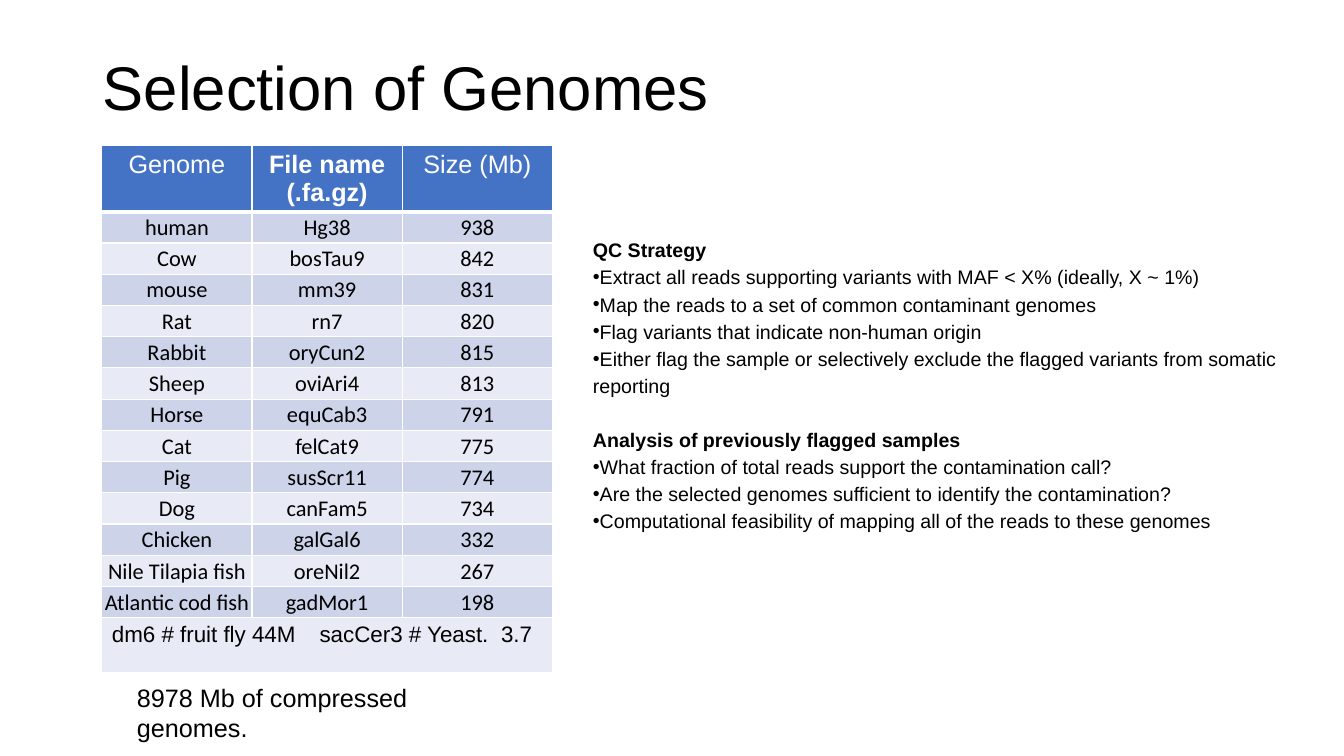
import dataclasses
import typing

import lxml.etree
import pptx
import pptx.dml.color
import pptx.enum.text
import pptx.oxml.ns
import pptx.util

Inches = pptx.util.Inches
Align = pptx.enum.text.PP_ALIGN
Anchor = pptx.enum.text.MSO_ANCHOR
Fit = pptx.enum.text.MSO_AUTO_SIZE
qn = pptx.oxml.ns.qn

COLORS = {"ink": "000000", "white": "FFFFFF", "head": "4472C4",
          "dark": "CDD4EA", "light": "E8EBF5"}


@dataclasses.dataclass
class Genome:
    name: str
    file: str
    size: str


@dataclasses.dataclass
class Topic:
    head: str
    points: list[str]


@dataclasses.dataclass
class Style:
    size: float
    font: str = "Arial"
    color: str = "ink"
    bold: bool = False


GENOMES = [
    Genome("human", "Hg38", "938"),
    Genome("Cow", "bosTau9", "842"),
    Genome("mouse", "mm39", "831"),
    Genome("Rat", "rn7", "820"),
    Genome("Rabbit", "oryCun2", "815"),
    Genome("Sheep", "oviAri4", "813"),
    Genome("Horse", "equCab3", "791"),
    Genome("Cat", "felCat9", "775"),
    Genome("Pig", "susScr11", "774"),
    Genome("Dog", "canFam5", "734"),
    Genome("Chicken", "galGal6", "332"),
    Genome("Nile Tilapia fish", "oreNil2", "267"),
    Genome("Atlantic cod fish", "gadMor1", "198"),
]
TOPICS = [
    Topic("QC Strategy", [
        "Extract all reads supporting variants with MAF < X% (ideally, X ~ 1%)",
        "Map the reads to a set of common contaminant genomes",
        "Flag variants that indicate non-human origin",
        "Either flag the sample or selectively exclude the flagged variants "
        "from somatic reporting",
    ]),
    Topic("Analysis of previously flagged samples", [
        "What fraction of total reads support the contamination call?",
        "Are the selected genomes sufficient to identify the contamination?",
        "Computational feasibility of mapping all of the reads to these genomes",
    ]),
]


def apply(target: typing.Any, values: dict[str, typing.Any]) -> None:
    for name, value in values.items():
        setattr(target, name, value)


def place(shape: typing.Any, left: float, top: float,
          width: float, height: float) -> None:
    apply(shape, {"left": Inches(left), "top": Inches(top),
                  "width": Inches(width), "height": Inches(height)})


def margins(left: float, top: float, right: float, bottom: float) -> dict:
    return {"margin_left": Inches(left), "margin_top": Inches(top),
            "margin_right": Inches(right), "margin_bottom": Inches(bottom)}


def write(para: typing.Any, text: str, style: Style, **values: typing.Any) -> None:
    apply(para, values)
    run = para.add_run()
    run.text = text
    apply(run.font, {"size": pptx.util.Pt(style.size), "name": style.font,
                     "bold": style.bold})
    run.font.color.rgb = pptx.dml.color.RGBColor.from_string(COLORS[style.color])


def bullet(para: typing.Any, mark: str = "") -> None:
    """Set a flush bullet mark, or none when the mark is empty."""
    props = para._p.get_or_add_pPr()
    apply_xml = {"marL": "0", "indent": "0"}
    for name, value in apply_xml.items():
        props.set(name, value)
    if mark:
        lxml.etree.SubElement(props, qn("a:buChar")).set("char", mark)
    else:
        lxml.etree.SubElement(props, qn("a:buNone"))


def border(cell: typing.Any, below: float = 1) -> None:
    props = cell._tc.get_or_add_tcPr()
    for side, width in {"L": 1, "R": 1, "T": 1, "B": below}.items():
        line = lxml.etree.SubElement(props, qn(f"a:ln{side}"))
        line.set("w", str(pptx.util.Pt(width)))
        fill = lxml.etree.SubElement(line, qn("a:solidFill"))
        lxml.etree.SubElement(fill, qn("a:srgbClr")).set("val", COLORS["white"])


def paint(cell: typing.Any, color: str, below: float = 1) -> None:
    border(cell, below)
    cell.fill.solid()
    cell.fill.fore_color.rgb = pptx.dml.color.RGBColor.from_string(COLORS[color])


def add_genomes(slide: typing.Any) -> None:
    last = len(GENOMES) + 1
    frame = slide.shapes.add_table(last + 1, 3, Inches(1.01), Inches(1.44),
                                   Inches(4.47), Inches(5.22))
    table = frame.table
    for column in table.columns:
        column.width = Inches(1.49)
    for index, row in enumerate(table.rows):
        row.height = Inches({0: 0.65, last: 0.54}.get(index, 0.31))

    wide = margins(0.1, 0.05, 0.1, 0.05)
    for col, text in enumerate(["Genome", "File name (.fa.gz)", "Size (Mb)"]):
        cell = table.cell(0, col)
        apply(cell, wide)
        paint(cell, "head", below=3)
        write(cell.text_frame.paragraphs[0], text,
              Style(18, color="white", bold=col == 1), alignment=Align.CENTER)

    tight = margins(0.01, 0.01, 0.01, 0) | {"vertical_anchor": Anchor.MIDDLE}
    for row, genome in enumerate(GENOMES, 1):
        for col, text in enumerate(dataclasses.astuple(genome)):
            cell = table.cell(row, col)
            apply(cell, tight)
            paint(cell, "dark" if row % 2 else "light")
            write(cell.text_frame.paragraphs[0], text, Style(16, "Calibri"),
                  alignment=Align.CENTER)

    for col in range(3):
        paint(table.cell(last, col), "light")
    foot = table.cell(last, 0)
    foot.merge(table.cell(last, 2))
    apply(foot, wide)
    para = foot.text_frame.paragraphs[0]
    write(para, "dm6 # fruit fly 44M\tsacCer3 # Yeast.\t3.7", Style(16))
    tabs = lxml.etree.SubElement(para._p.get_or_add_pPr(), qn("a:tabLst"))
    for stop in (2.06, 3.86):
        tab = lxml.etree.SubElement(tabs, qn("a:tab"))
        tab.set("pos", str(Inches(stop)))
        tab.set("algn", "l")


def add_topics(body: typing.Any) -> None:
    place(body, 5.78, 2.23, 7.02, 3.18)
    frame = body.text_frame
    apply(frame, margins(0.1, 0.1, 0.1, 0.1) | {
        "word_wrap": True, "auto_size": Fit.NONE, "vertical_anchor": Anchor.TOP})
    para = frame.paragraphs[0]
    for index, topic in enumerate(TOPICS):
        if index:
            para = frame.add_paragraph()
        write(para, topic.head, Style(14, bold=True), line_spacing=1.15,
              space_before=pptx.util.Pt(19.3 if index else 0))
        bullet(para)
        for point in topic.points:
            para = frame.add_paragraph()
            write(para, point, Style(14), line_spacing=1.15,
                  space_before=pptx.util.Pt(0))
            bullet(para, "•")


def main() -> None:
    deck = pptx.Presentation()
    apply(deck, {"slide_width": Inches(13.33), "slide_height": Inches(7.5)})
    slide = deck.slides.add_slide(deck.slide_layouts[1])

    title = slide.shapes.title
    place(title, 0.92, 0.17, 11.5, 1.45)
    apply(title.text_frame, margins(0.1, 0.05, 0.1, 0.05) | {
        "auto_size": Fit.NONE, "vertical_anchor": Anchor.MIDDLE})
    write(title.text_frame.paragraphs[0], "Selection of Genomes", Style(44),
          alignment=Align.LEFT, line_spacing=0.9)

    add_genomes(slide)
    total = slide.shapes.add_textbox(Inches(1.26), Inches(6.72),
                                     Inches(3.74), Inches(0.71))
    total.text_frame.word_wrap = True
    write(total.text_frame.paragraphs[0], "8978 Mb of compressed genomes.",
          Style(18))
    add_topics(slide.placeholders[1])
    deck.save("out.pptx")


if __name__ == "__main__":
    main()
